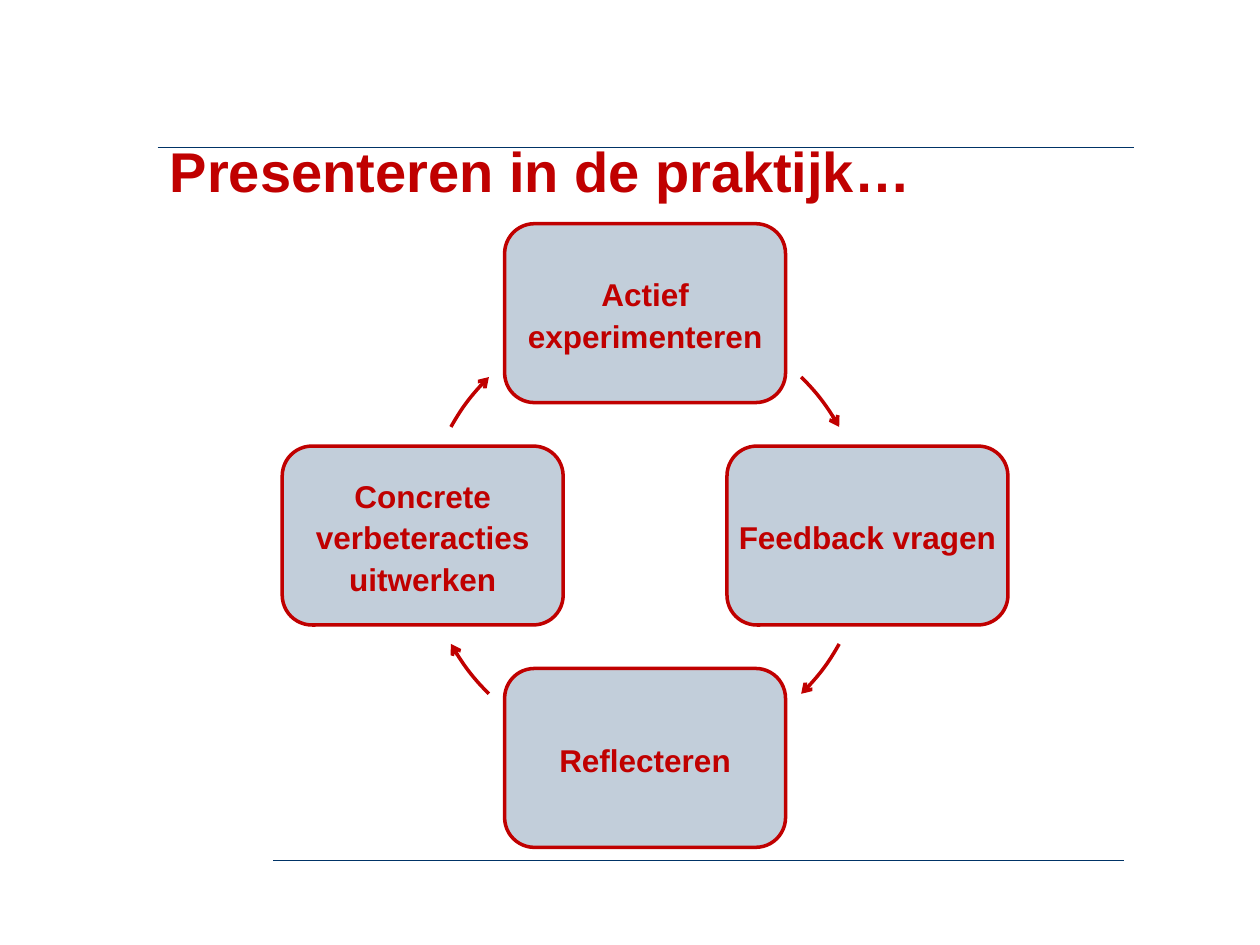
"""Build a slide with a four-step learning cycle about presenting in practice."""
from lxml.etree import SubElement
from pptx import Presentation
from pptx.dml.color import RGBColor
from pptx.enum.shapes import MSO_CONNECTOR, MSO_SHAPE
from pptx.enum.text import MSO_ANCHOR, PP_ALIGN
from pptx.oxml.ns import qn
from pptx.util import Inches, Pt

NAVY = RGBColor(0x00, 0x33, 0x66)
RED = RGBColor(0xC0, 0x00, 0x00)

CENTER_X, CENTER_Y = 5.12, 4.25
RADIUS = 1.765
BOX_WIDTH, BOX_HEIGHT = 2.23, 1.42


def write_text(shape, text, size, spacing, anchor):
    frame = shape.text_frame
    frame.word_wrap = True
    frame.vertical_anchor = anchor
    para = frame.paragraphs[0]
    para.text = text
    para.line_spacing = spacing
    para.font.name = "Arial"
    para.font.size = Pt(size)
    para.font.bold = True
    para.font.color.rgb = RED
    return frame


deck = Presentation()
deck.slide_width = Inches(10)
deck.slide_height = Inches(7.5)
page = deck.slides.add_slide(deck.slide_layouts[6])

for left, right, y in [(1.25, 9, 1.17), (2.17, 8.92, 6.83)]:
    rule = page.shapes.add_connector(
        MSO_CONNECTOR.STRAIGHT, Inches(left), Inches(y), Inches(right), Inches(y))
    rule.line.color.rgb = NAVY
    rule.line.width = Pt(0.75)
    SubElement(rule._element.spPr, qn("a:effectLst"))

title = page.shapes.add_textbox(Inches(1.25), Inches(0.92), Inches(8.17), Inches(0.75))
write_text(title, "Presenteren in de praktijk…", 32, 0.9, MSO_ANCHOR.BOTTOM)

steps = [
    ("Actief experimenteren", 0, -1, 314.6),
    ("Feedback vragen", 1, 0, 29.2),
    ("Reflecteren", 0, 1, 134.6),
    ("Concrete verbeteracties uitwerken", -1, 0, 209.2),
]
for text, across, down, start_angle in steps:
    box = page.shapes.add_shape(
        MSO_SHAPE.ROUNDED_RECTANGLE,
        Inches(CENTER_X + across * RADIUS - BOX_WIDTH / 2),
        Inches(CENTER_Y + down * RADIUS - BOX_HEIGHT / 2),
        Inches(BOX_WIDTH), Inches(BOX_HEIGHT))
    box.shadow.inherit = False
    box.fill.solid()
    box.fill.fore_color.rgb = NAVY
    fill_color = box._element.spPr.find(qn("a:solidFill")).find(qn("a:srgbClr"))
    SubElement(fill_color, qn("a:alpha"), val="24000")
    box.line.color.rgb = RED
    box.line.width = Pt(2)
    frame = write_text(box, text, 18, 1.1, MSO_ANCHOR.MIDDLE)
    frame.paragraphs[0].alignment = PP_ALIGN.CENTER
    frame.margin_left = frame.margin_right = 0
    frame.margin_top = frame.margin_bottom = 0

    arrow = page.shapes.add_shape(
        MSO_SHAPE.ARC, Inches(CENTER_X - RADIUS), Inches(CENTER_Y - RADIUS),
        Inches(2 * RADIUS), Inches(2 * RADIUS))
    arrow.shadow.inherit = False
    arrow.fill.background()
    arrow.adjustments[0] = start_angle * 0.6
    arrow.adjustments[1] = (start_angle + 16.2) * 0.6
    arrow.line.color.rgb = RED
    arrow.line.width = Pt(2)
    SubElement(arrow.line._get_or_add_ln(), qn("a:tailEnd"), type="arrow")

deck.save("out.pptx")
